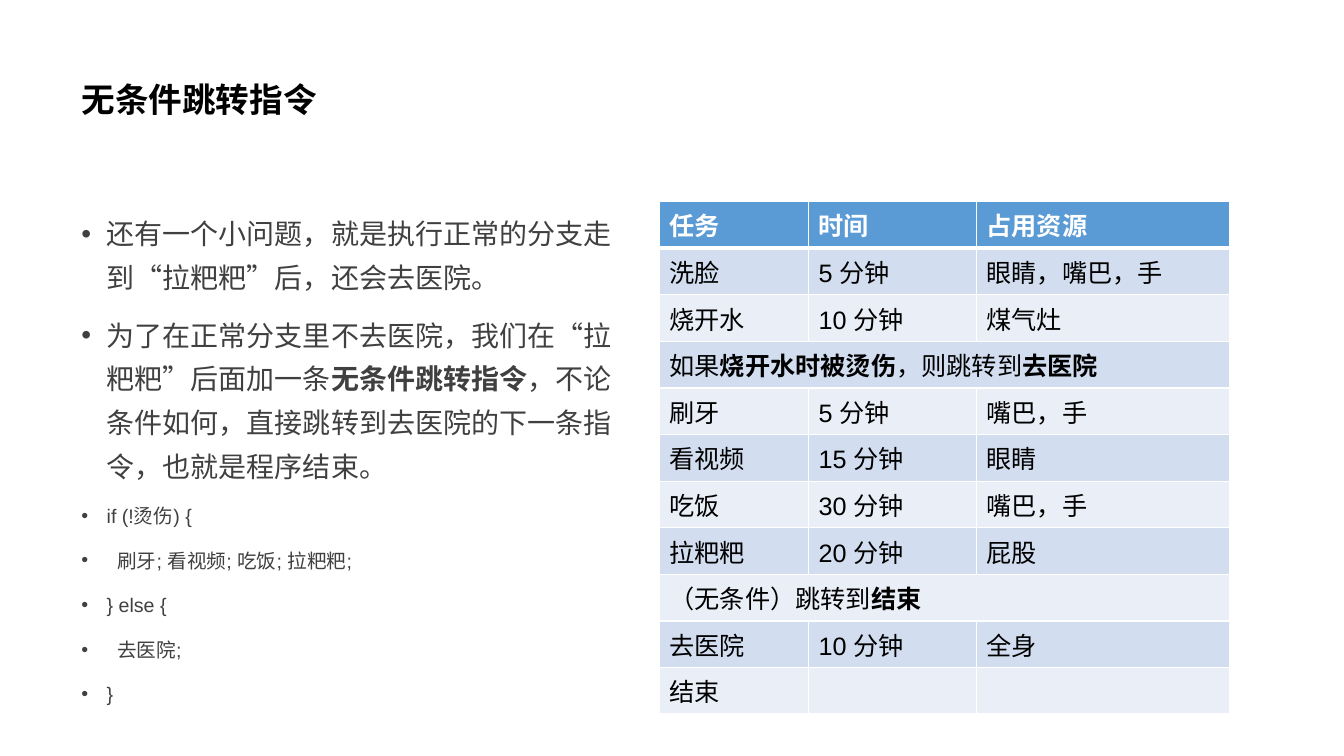
from dataclasses import dataclass

from lxml.etree import SubElement
from pptx import Presentation
from pptx.dml.color import RGBColor
from pptx.enum.lang import MSO_LANGUAGE_ID as Language
from pptx.enum.text import MSO_ANCHOR as Anchor, MSO_AUTO_SIZE as AutoSize, PP_ALIGN as Align
from pptx.oxml.ns import qn
from pptx.util import Emu, Pt

EMU_PER_PX = 9525  # 96 px to the inch

BLACK = RGBColor(0x00, 0x00, 0x00)
WHITE = RGBColor(0xFF, 0xFF, 0xFF)
BODY_GRAY = RGBColor(0x40, 0x40, 0x40)
HEADER_BLUE = RGBColor(0x5B, 0x9B, 0xD5)
BANDS = (RGBColor(0xEA, 0xEF, 0xF7), RGBColor(0xD2, 0xDE, 0xEF))

HANGING_INDENT = 24
CODE_INDENT = 10
COLUMN_WIDTHS = (142, 160, 241)
ROW_HEIGHT = 40


@dataclass(frozen=True)
class Box:
    left: int
    top: int
    width: int
    height: int


@dataclass(frozen=True)
class Style:
    font: str
    size: int
    color: RGBColor
    bold: bool = False


@dataclass(frozen=True)
class Bullet:
    text: str  # asterisks enclose bold words
    size: int = 20
    indent: int = 0


TITLE_BOX = Box(68, 27, 1104, 139)
BODY_BOX = Box(68, 192, 544, 501)
TABLE_BOX = Box(628, 192, sum(COLUMN_WIDTHS), 11 * ROW_HEIGHT)

BULLETS = (
    Bullet("还有一个小问题，就是执行正常的分支走到“拉粑粑”后，还会去医院。"),
    Bullet("为了在正常分支里不去医院，我们在“拉粑粑”后面加一条*无条件跳转指令*，"
           "不论条件如何，直接跳转到去医院的下一条指令，也就是程序结束。"),
    Bullet("if (!烫伤) {", 14),
    Bullet("刷牙; 看视频; 吃饭; 拉粑粑;", 14, CODE_INDENT),
    Bullet("} else {", 14),
    Bullet("去医院;", 14, CODE_INDENT),
    Bullet("}", 14),
)

# A row with a single entry spans the table
TASK_ROWS = (
    ("任务", "时间", "占用资源"),
    ("洗脸", "5 分钟", "眼睛，嘴巴，手"),
    ("烧开水", "10 分钟", "煤气灶"),
    ("如果*烧开水时被烫伤*，则跳转到*去医院*",),
    ("刷牙", "5 分钟", "嘴巴，手"),
    ("看视频", "15 分钟", "眼睛"),
    ("吃饭", "30 分钟", "嘴巴，手"),
    ("拉粑粑", "20 分钟", "屁股"),
    ("（无条件）跳转到*结束*",),
    ("去医院", "10 分钟", "全身"),
    ("结束", "", ""),
)


def px(length: int) -> Emu:
    return Emu(length * EMU_PER_PX)


def place(shape, box: Box) -> None:
    shape.left, shape.top = px(box.left), px(box.top)
    shape.width, shape.height = px(box.width), px(box.height)


def write(paragraph, text: str, style: Style) -> None:
    """Write text, with the words between asterisks in bold."""
    for index, part in enumerate(text.split("*")):
        if not part:
            continue
        run = paragraph.add_run()
        run.text = part
        run.font.name = style.font
        run.font.size = Pt(style.size)
        run.font.color.rgb = style.color
        run.font.bold = style.bold or index % 2 == 1
        run.font.language_id = Language.SIMPLIFIED_CHINESE


def set_bullet(paragraph, indent: int) -> None:
    margin = px(HANGING_INDENT + indent)
    properties = paragraph._p.get_or_add_pPr()
    properties.set("marL", str(margin))
    properties.set("indent", str(-margin))
    SubElement(properties, qn("a:buFont"), typeface="Arial")
    SubElement(properties, qn("a:buChar"), char="•")


def set_borders(cell, top: int = 1, bottom: int = 1) -> None:
    properties = cell._tc.get_or_add_tcPr()
    for side, width in (("L", 1), ("R", 1), ("T", top), ("B", bottom)):
        line = SubElement(properties, qn(f"a:ln{side}"), w=str(Pt(width)))
        fill = SubElement(line, qn("a:solidFill"))
        SubElement(fill, qn("a:srgbClr"), val=str(WHITE))


def add_title(slide) -> None:
    title = slide.shapes.title
    place(title, TITLE_BOX)
    frame = title.text_frame
    frame.vertical_anchor = Anchor.MIDDLE
    frame.auto_size = AutoSize.NONE
    paragraph = frame.paragraphs[0]
    paragraph.alignment = Align.LEFT
    paragraph.line_spacing = 0.9
    write(paragraph, "无条件跳转指令", Style("Montserrat", 24, BLACK, True))


def add_bullets(slide) -> None:
    body = slide.placeholders[1]
    place(body, BODY_BOX)
    frame = body.text_frame
    frame.auto_size = AutoSize.NONE
    for index, bullet in enumerate(BULLETS):
        paragraph = frame.add_paragraph() if index else frame.paragraphs[0]
        paragraph.line_spacing = 1.3
        paragraph.space_before = Pt(10)
        set_bullet(paragraph, bullet.indent)
        write(paragraph, bullet.text, Style("Arial", bullet.size, BODY_GRAY))


def add_task_table(slide) -> None:
    box = TABLE_BOX
    table = slide.shapes.add_table(
        len(TASK_ROWS), len(COLUMN_WIDTHS),
        px(box.left), px(box.top), px(box.width), px(box.height)).table
    for column, width in zip(table.columns, COLUMN_WIDTHS):
        column.width = px(width)
    for row_index, entries in enumerate(TASK_ROWS):
        is_header = row_index == 0
        style = Style("Arial", 18, WHITE if is_header else BLACK, is_header)
        for cell in table.rows[row_index].cells:
            set_borders(cell, top=3 if row_index == 1 else 1, bottom=3 if is_header else 1)
            cell.fill.solid()
            cell.fill.fore_color.rgb = HEADER_BLUE if is_header else BANDS[row_index % 2]
        if len(entries) == 1:
            table.cell(row_index, 0).merge(table.cell(row_index, len(COLUMN_WIDTHS) - 1))
        for column_index, text in enumerate(entries):
            cell = table.cell(row_index, column_index)
            write(cell.text_frame.paragraphs[0], text, style)


def main() -> None:
    presentation = Presentation()
    presentation.slide_width, presentation.slide_height = px(1280), px(720)
    slide = presentation.slides.add_slide(presentation.slide_layouts[1])
    add_title(slide)
    add_bullets(slide)
    add_task_table(slide)
    presentation.save("out.pptx")


if __name__ == "__main__":
    main()
